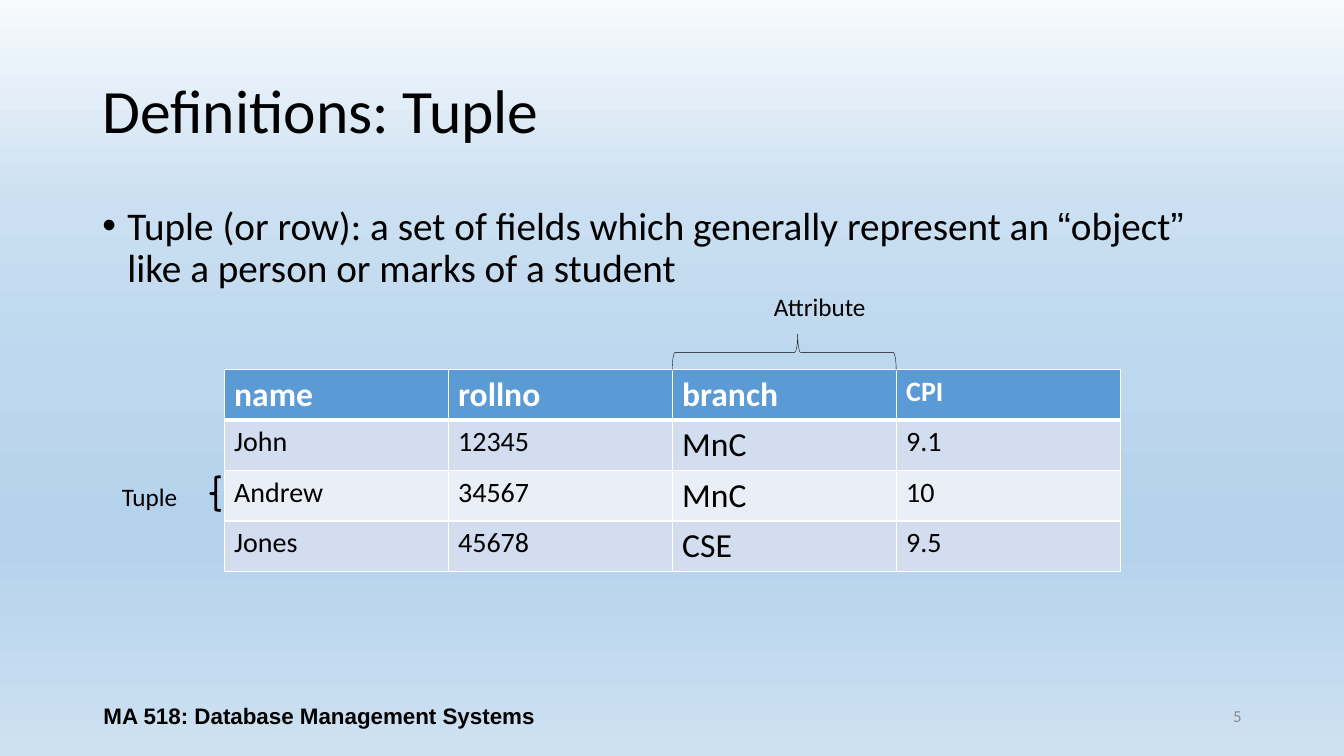
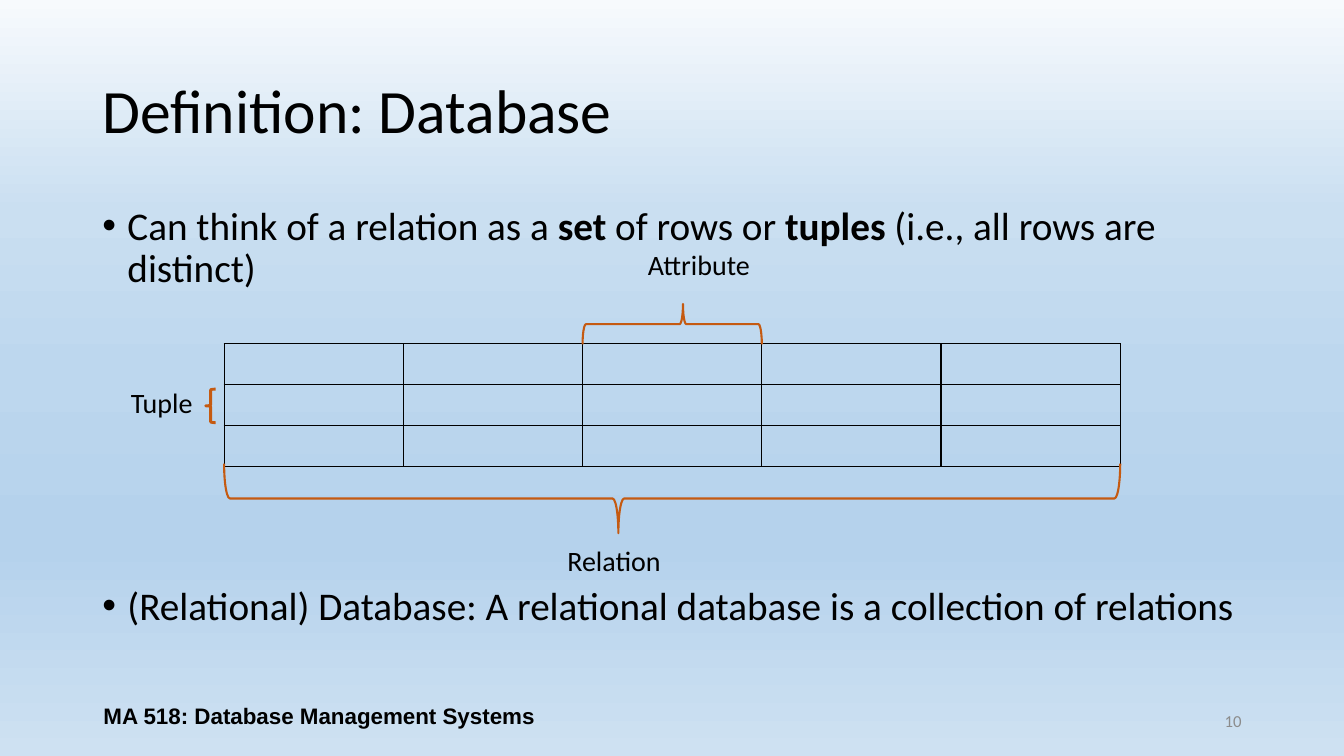
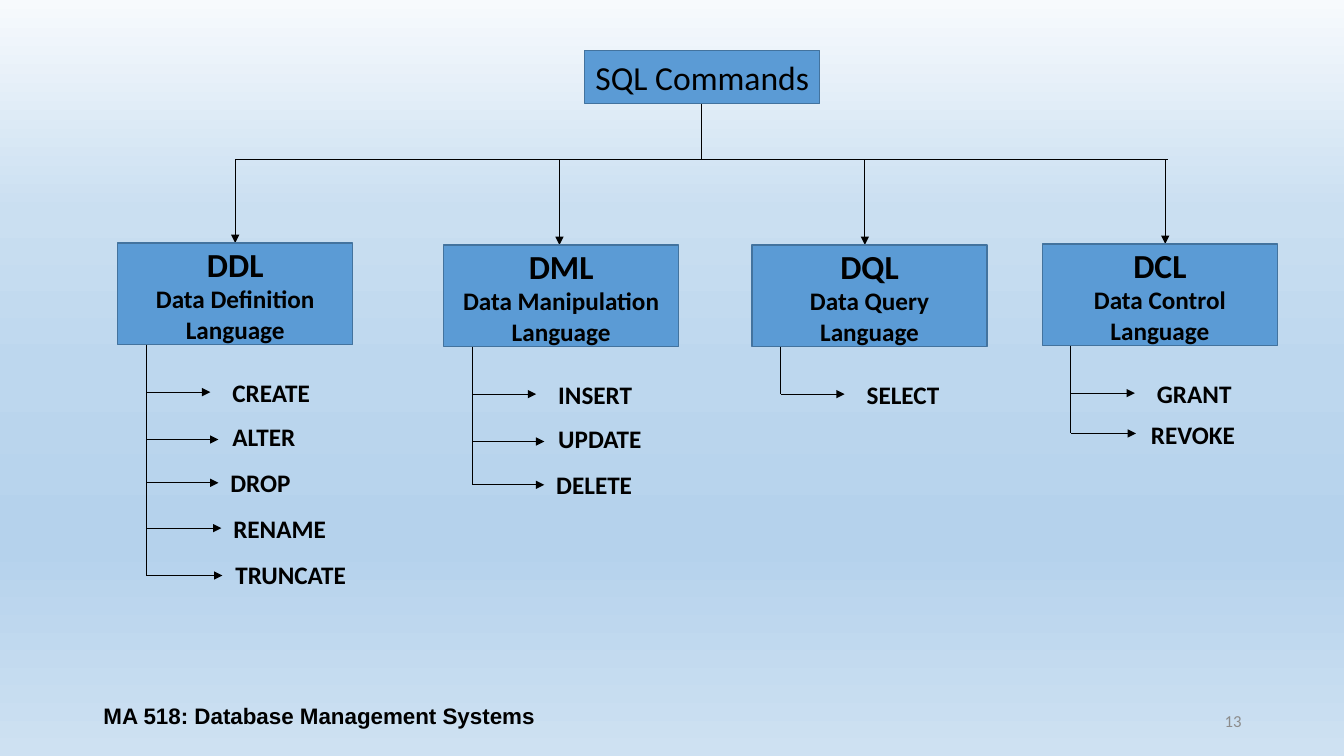
from dataclasses import dataclass

from lxml import etree
from pptx import Presentation
from pptx.dml.color import RGBColor
from pptx.enum.shapes import MSO_CONNECTOR, MSO_SHAPE
from pptx.enum.text import MSO_ANCHOR, PP_ALIGN
from pptx.oxml.ns import qn
from pptx.util import Emu, Inches, Pt

LEFT, CENTER, RIGHT = PP_ALIGN.LEFT, PP_ALIGN.CENTER, PP_ALIGN.RIGHT
TOP, MIDDLE = MSO_ANCHOR.TOP, MSO_ANCHOR.MIDDLE
RECTANGLE, LEFT_BRACE = MSO_SHAPE.RECTANGLE, MSO_SHAPE.LEFT_BRACE
STRAIGHT = MSO_CONNECTOR.STRAIGHT

COLUMNS, ROWS = 40, 22.5
MODULE = Inches(1) / 3

MARGIN, CONTENT_WIDTH = 2.75, 34.5
TABLE_LEFT, TABLE_WIDTH = 6.67, 26.67
BOX_WIDTH, BOX_HEIGHT = 7, 3.03
BUS_TOP, TRUNK_INDENT = 4.75, 0.85


@dataclass(frozen=True)
class Theme:
    body_font: str = "Calibri"
    footer_font: str = "Arial"
    text: str = "000000"
    muted: str = "8C8C8C"
    white: str = "FFFFFF"
    accent: str = "5B9BD5"
    accent_edge: str = "43739E"
    brace: str = "C55A11"
    bands: tuple = ("D2DEEF", "EAEFF7")
    sky: tuple = ((0, "F7FAFD"), (28, "CADFF1"), (49, "BDD7EE"),
                  (71, "B5D2EC"), (72, "B5D2EC"), (100, "CEE1F2"))
    title_size: int = 44
    bullet_size: int = 28
    large_size: int = 24
    medium_size: int = 20
    label_size: int = 18
    footer_size: int = 16
    number_size: int = 12


THEME = Theme()


def grid(*modules):
    return [Emu(round(module * MODULE)) for module in modules]


def color(value):
    return RGBColor.from_string(value)


def child(parent, tag, **attributes):
    return etree.SubElement(parent, qn(tag), attributes)


def style(font, size, ink=THEME.text, bold=False, name=THEME.body_font):
    font.name = name
    font.size = Pt(size)
    font.bold = bold
    font.color.rgb = color(ink)


def paint_background(presentation):
    fill = presentation.slide_master.background.fill
    fill.gradient()
    fill.gradient_angle = 270
    stops = fill.gradient_stops[0]._gs.getparent()
    for stop in list(stops):
        stops.remove(stop)
    for position, value in THEME.sky:
        stop = child(stops, "a:gs", pos=str(position * 1000))
        child(stop, "a:srgbClr", val=value)


def add_text(slide, text, place, size, align=LEFT, anchor=TOP, **look):
    frame = slide.shapes.add_textbox(*grid(*place)).text_frame
    frame.word_wrap = True
    frame.vertical_anchor = anchor
    paragraph = frame.paragraphs[0]
    paragraph.text = text
    paragraph.alignment = align
    style(paragraph.font, size, **look)
    return paragraph


def add_label(slide, text, left, top, size=THEME.label_size, bold=False):
    add_text(slide, text, (left, top, 6, 1.2), size, bold=bold)


def add_title(slide, text):
    paragraph = add_text(slide, text, (MARGIN, 1.2, CONTENT_WIDTH, 4.35),
                         THEME.title_size, anchor=MIDDLE)
    paragraph.line_spacing = 0.9


def add_bullet(slide, top, runs):
    frame = slide.shapes.add_textbox(*grid(MARGIN, top, CONTENT_WIDTH, 3)).text_frame
    frame.word_wrap = True
    paragraph = frame.paragraphs[0]
    paragraph.line_spacing = 0.9
    properties = paragraph._p.get_or_add_pPr()
    indent = Inches(0.25)
    properties.set("marL", str(indent))
    properties.set("indent", str(-indent))
    child(properties, "a:buFont", typeface="Arial")
    child(properties, "a:buChar", char="•")
    style(paragraph.font, THEME.bullet_size)
    for text, override in runs:
        run = paragraph.add_run()
        run.text = text
        for attribute, value in override.items():
            setattr(run.font, attribute, value)


def add_slide(presentation, number, number_top=20.85):
    slide = presentation.slides.add_slide(presentation.slide_layouts[6])
    add_text(slide, number, (28.25, number_top, 9, 1.2), THEME.number_size,
             align=RIGHT, anchor=MIDDLE, ink=THEME.muted)
    add_text(slide, "MA 518: Database Management Systems", (MARGIN, 20.7, 13.5, 1.2),
             THEME.footer_size, align=CENTER, anchor=MIDDLE, bold=True,
             name=THEME.footer_font)
    return slide


def add_brace(slide, left, top, width, height, ink, weight, rotation=0):
    if rotation:
        left, top = left + (width - height) / 2, top + (height - width) / 2
        width, height = height, width
    shape = slide.shapes.add_shape(LEFT_BRACE, *grid(left, top, width, height))
    shape.rotation = rotation
    shape.shadow.inherit = False
    shape.fill.background()
    shape.line.color.rgb = color(ink)
    shape.line.width = Pt(weight)
    if rotation:
        shape.adjustments[1] = 0.44


def add_line(slide, start, end, arrow=False):
    connector = slide.shapes.add_connector(STRAIGHT, *grid(*start, *end))
    connector.line.color.rgb = color(THEME.text)
    connector.line.width = Pt(0.5)
    if arrow:
        child(connector.line._get_or_add_ln(), "a:tailEnd", type="triangle")
    child(connector._element.spPr, "a:effectLst")


def add_box(slide, left, top, height, lines):
    shape = slide.shapes.add_shape(RECTANGLE, *grid(left, top, BOX_WIDTH, height))
    shape.shadow.inherit = False
    shape.fill.solid()
    shape.fill.fore_color.rgb = color(THEME.accent)
    shape.line.color.rgb = color(THEME.accent_edge)
    shape.line.width = Pt(1)
    frame = shape.text_frame
    frame.vertical_anchor = MIDDLE
    for index, (text, size, bold) in enumerate(lines):
        paragraph = frame.add_paragraph() if index else frame.paragraphs[0]
        paragraph.text = text
        paragraph.alignment = CENTER
        style(paragraph.font, size, bold=bold)


def set_borders(cell, ink, top=1, bottom=1):
    properties = cell._tc.get_or_add_tcPr()
    for side, weight in zip("LRTB", (1, 1, top, bottom)):
        line = child(properties, f"a:ln{side}", w=str(Pt(weight)))
        child(child(line, "a:solidFill"), "a:srgbClr", val=ink)


def add_table(slide, top, row_count, column_count, row_height):
    table = slide.shapes.add_table(
        row_count, column_count,
        *grid(TABLE_LEFT, top, TABLE_WIDTH, row_count * row_height)).table
    table.first_row = False
    table.horz_banding = False
    return table


def add_record_table(slide, top, records, header_sizes, body_sizes):
    table = add_table(slide, top, len(records), len(records[0]), 1.5)
    for row, record in enumerate(records):
        header = row == 0
        sizes = header_sizes if header else body_sizes
        for column, (text, size) in enumerate(zip(record, sizes)):
            cell = table.cell(row, column)
            set_borders(cell, THEME.white, top=3 if row == 1 else 1,
                        bottom=3 if header else 1)
            cell.fill.solid()
            cell.fill.fore_color.rgb = color(
                THEME.accent if header else THEME.bands[(row - 1) % 2])
            paragraph = cell.text_frame.paragraphs[0]
            paragraph.text = text
            style(paragraph.font, size, THEME.white if header else THEME.text, header)


def add_empty_table(slide, top, row_count, column_count):
    table = add_table(slide, top, row_count, column_count, 1.22)
    for cell in table.iter_cells():
        set_borders(cell, THEME.text)
        cell.fill.background()


def add_command_group(slide, left, top, arrow_left, short_name, name, commands, rungs):
    add_line(slide, (arrow_left, BUS_TOP), (arrow_left, top), arrow=True)
    add_box(slide, left, top, BOX_HEIGHT,
            [(short_name, THEME.large_size, True), (name, THEME.label_size, True)])
    trunk = left + TRUNK_INDENT
    used = rungs[:len(commands)]
    add_line(slide, (trunk, top + BOX_HEIGHT), (trunk, top + used[-1][0]))
    for command, (drop, tip, label_left, label_top) in zip(commands, used):
        add_line(slide, (trunk, top + drop), (left + tip, top + drop), arrow=True)
        add_label(slide, command, left + label_left, top + label_top, bold=True)


def build_tuple_slide(presentation):
    slide = add_slide(presentation, "5", 20.7)
    add_title(slide, "Definitions: Tuple")
    quote = {"name": "Arial"}
    add_bullet(slide, 6, [
        ("Tuple (or row): a set of fields which generally represent an ", {}),
        ("“", quote), ("object", {}), ("”", quote),
        (" like a person or marks of a student", {})])
    large, medium = THEME.large_size, THEME.medium_size
    add_record_table(slide, 11, [
        ("name", "rollno", "branch", "CPI"),
        ("John", "12345", "MnC", "9.1"),
        ("Andrew", "34567", "MnC", "10"),
        ("Jones", "45678", "CSE", "9.5")],
        (large, large, large, medium), (medium, medium, large, medium))
    add_brace(slide, 6.27, 14.19, 0.3, 1, THEME.text, 2)
    add_label(slide, "Tuple", 3.33, 14.19)
    column_width = TABLE_WIDTH / 4
    add_brace(slide, TABLE_LEFT + 2 * column_width, 9.95, column_width, 1.08,
              THEME.text, 0.25, rotation=90)
    add_label(slide, "Attribute", 22.74, 8.52)


def build_database_slide(presentation):
    slide = add_slide(presentation, "10")
    add_title(slide, "Definition: Database")
    strong = {"bold": True}
    add_bullet(slide, 6, [
        ("Can think of a relation as a ", {}), ("set ", strong),
        ("of rows or ", {}), ("tuples ", strong),
        ("(i.e., all rows are distinct)", {})])
    add_bullet(slide, 17.31, [
        ("(Relational) Database: A relational database is a collection of relations", {})])
    add_empty_table(slide, 10.23, 3, 5)
    add_brace(slide, 6.12, 11.58, 0.3, 1, THEME.brace, 2)
    column_width = TABLE_WIDTH / 5
    add_brace(slide, TABLE_LEFT + 2 * column_width, 9.05, column_width, 1.2,
              THEME.brace, 1.5, rotation=90)
    add_brace(slide, TABLE_LEFT, 13.8, TABLE_WIDTH, 2.07, THEME.brace, 1.5, rotation=270)
    for text, left, top in (("Tuple", 3.6, 11.34), ("Attribute", 18.99, 7.23),
                            ("Relation", 16.59, 16.02)):
        add_label(slide, text, left, top, THEME.medium_size)


def build_commands_slide(presentation):
    slide = add_slide(presentation, "13")
    add_box(slide, 17.4, 1.5, 1.59, [("SQL Commands", THEME.large_size, False)])
    add_line(slide, (20.88, 3.09), (20.88, BUS_TOP))
    add_line(slide, (7, BUS_TOP), (34.77, BUS_TOP))
    rungs = [(4.44, 2.76, 3.12, 3.84), (5.85, 3, 3.12, 5.16), (7.14, 3, 3.06, 6.54),
             (8.49, 3.09, 3.15, 7.89), (9.9, 3.12, 3.21, 9.27)]
    close_rungs = [rungs[0], (5.64, 2.79, 2.94, 5.07)]
    groups = [
        (3.5, 7.23, 7, "DDL", "Data Definition Language",
         ("CREATE", "ALTER", "DROP", "RENAME", "TRUNCATE"), rungs),
        (13.2, 7.29, 16.65, "DML", "Data Manipulation Language",
         ("INSERT", "UPDATE", "DELETE"), rungs),
        (22.38, 7.29, 25.74, "DQL", "Data Query Language", ("SELECT",), rungs),
        (31.02, 7.26, 34.68, "DCL", "Data Control Language",
         ("GRANT", "REVOKE"), close_rungs)]
    for group in groups:
        add_command_group(slide, *group)


def main():
    presentation = Presentation()
    presentation.slide_width, presentation.slide_height = grid(COLUMNS, ROWS)
    paint_background(presentation)
    build_tuple_slide(presentation)
    build_database_slide(presentation)
    build_commands_slide(presentation)
    presentation.save("out.pptx")


if __name__ == "__main__":
    main()
